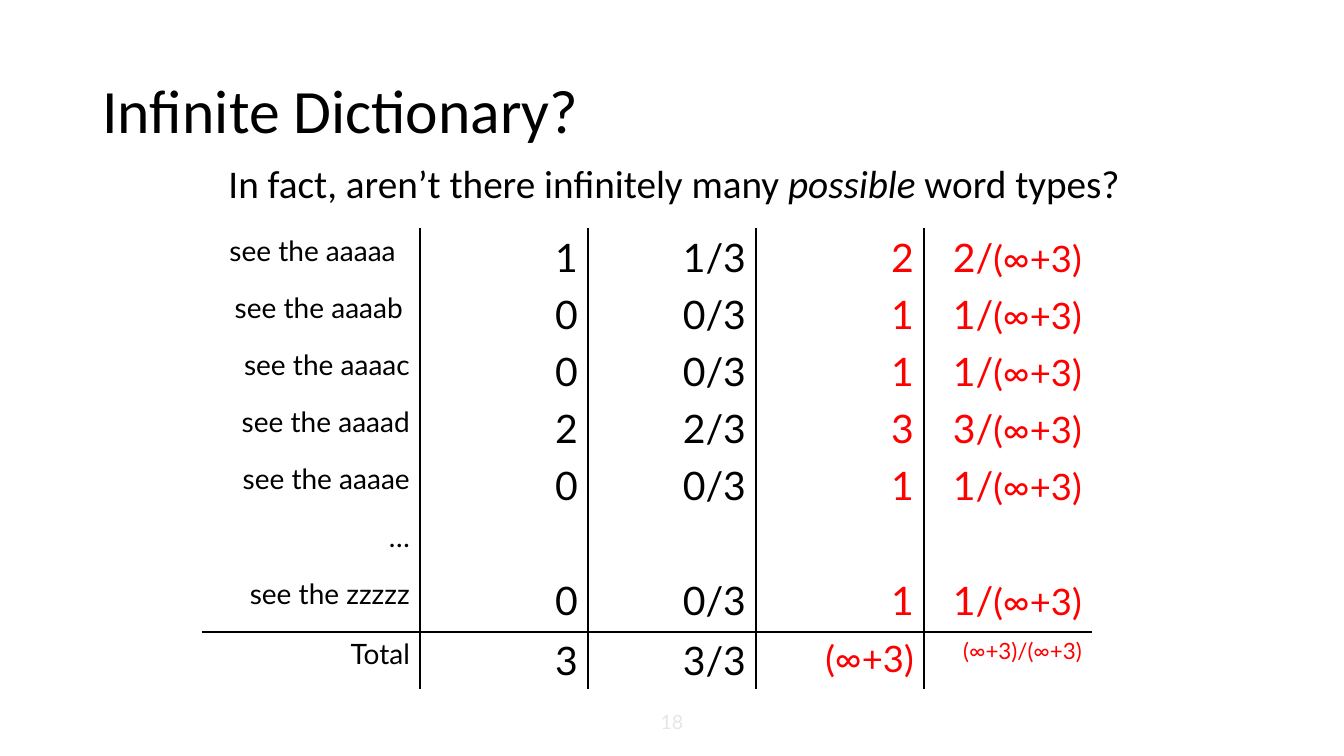
from lxml import etree
from pptx import Presentation
from pptx import util as u
from pptx.dml.color import RGBColor
from pptx.enum import text
from pptx.oxml import ns

BLACK, RED, PALE = "000000", "FF0000", "E6E6E6"
RIGHT = text.PP_ALIGN.RIGHT


def colour(value):
    return RGBColor.from_string(value)


def assign(target, values):
    for name, value in values.items():
        setattr(target, name, value)


def add_xml(parent, tag, **attributes):
    return etree.SubElement(parent, ns.qn(tag), attributes)


class SlideBuilder:
    """Places elements on a grid of 80 columns by 45 rows."""

    def __init__(self, presentation):
        self.column = u.Inches(13.33) / 80
        self.row = u.Inches(7.5) / 45
        self.slide = presentation.slides.add_slide(presentation.slide_layouts[1])

    def box(self, left, top, width, height):
        return [int(left * self.column), int(top * self.row),
                int(width * self.column), int(height * self.row)]

    def add_runs(self, paragraph, runs, font, **formats):
        """Each run is (text, size, colour) with an optional italic flag."""
        assign(paragraph, formats)
        for words, size, shade, *italic in runs:
            run = paragraph.add_run()
            run.text = words
            assign(run.font, {"name": font, "size": u.Pt(size),
                              "bold": False, "italic": bool(italic)})
            run.font.color.rgb = colour(shade)

    def placeholder(self, index, place, runs, anchor, **formats):
        shape = self.slide.placeholders[index]
        assign(shape, dict(zip(("left", "top", "width", "height"), self.box(*place))))
        assign(shape.text_frame, {"vertical_anchor": anchor, "word_wrap": True,
                                  "auto_size": text.MSO_AUTO_SIZE.NONE})
        paragraph = shape.text_frame.paragraphs[0]
        self.add_runs(paragraph, runs, "Calibri", line_spacing=0.9,
                      alignment=text.PP_ALIGN.LEFT, **formats)
        return paragraph

    def label(self, place, runs):
        frame = self.slide.shapes.add_textbox(*self.box(*place)).text_frame
        assign(frame, {"word_wrap": True, "vertical_anchor": text.MSO_ANCHOR.MIDDLE})
        self.add_runs(frame.paragraphs[0], runs, "Lato", alignment=text.PP_ALIGN.CENTER)

    def table(self, left, top, widths, heights, rows):
        place = self.box(left, top, sum(widths), sum(heights))
        table = self.slide.shapes.add_table(len(rows), len(widths), *place).table
        assign(table, {"first_row": False, "horz_banding": False})
        for column, width in zip(table.columns, widths):
            column.width = int(width * self.column)
        for row, height in zip(table.rows, heights):
            row.height = int(height * self.row)
        last_row, last_column = len(rows) - 1, len(widths) - 1
        for r, cells in enumerate(rows):
            for c, runs in enumerate(cells):
                cell = table.cell(r, c)
                # Inner column rules, and one rule above the total
                self.borders(cell, {"L": c > 0, "R": c < last_column,
                                    "T": r == last_row, "B": r == last_row - 1})
                cell.fill.background()
                if runs:
                    paragraph = cell.text_frame.paragraphs[0]
                    self.add_runs(paragraph, runs, "Lato", alignment=RIGHT)
                    before = add_xml(paragraph._p.get_or_add_pPr(), "a:spcBef")
                    add_xml(before, "a:spcPct", val="20000")
        return table

    def borders(self, cell, sides):
        properties = cell._tc.get_or_add_tcPr()
        for side, visible in sides.items():
            line = add_xml(properties, f"a:ln{side}", w=str(u.Pt(1)))
            if visible:
                fill = add_xml(line, "a:solidFill")
                add_xml(fill, "a:srgbClr", val=BLACK)
            else:
                add_xml(line, "a:noFill")


def count_row(ending, count):
    smoothed = str(count + 1)
    return [[(f"see the {ending}", 20, BLACK)], [(str(count), 28, BLACK)],
            [(f"{count}/3", 28, BLACK)], [(smoothed, 28, RED)],
            [(f"{smoothed}/", 28, RED), ("(∞+3)", 26, RED)]]


def main():
    presentation = Presentation()
    assign(presentation, {"slide_width": u.Inches(13.33), "slide_height": u.Inches(7.5)})
    builder = SlideBuilder(presentation)

    # Title and question
    builder.placeholder(0, (5.5, 2.4, 69, 8.7), [("Infinite Dictionary?", 44, BLACK)],
                        text.MSO_ANCHOR.MIDDLE)
    question = builder.placeholder(
        1, (13, 9.5, 56, 30.5),
        [("In fact, aren’t there infinitely many ", 28, BLACK),
         ("possible", 28, BLACK, True), (" word types?", 28, BLACK)],
        text.MSO_ANCHOR.TOP, space_before=u.Pt(10))
    properties = question._p.get_or_add_pPr()
    for name, value in {"marL": 0.25, "indent": -0.25}.items():
        properties.set(name, str(u.Inches(value)))
    add_xml(properties, "a:buNone")

    # Add-one counts over an endless list of words
    counts = {"aaaaa": 1, "aaaab": 0, "aaaac": 0, "aaaad": 2, "aaaae": 0}
    rows = [count_row(ending, count) for ending, count in counts.items()]
    rows.append([[("…", 20, BLACK)]] + [None] * 4)
    rows.append(count_row("zzzzz", 0))
    rows.append([[("Total", 20, BLACK)], [("3", 28, BLACK)], [("3/3", 28, BLACK)],
                 [("(∞+3)", 26, RED)], [("(∞+3)/(∞+3)", 16, RED)]])
    table = builder.table(12, 13.6, [13] + [10] * 4, [3.4] * 6 + [3.6, 3.4], rows)
    for r, margin in enumerate((0.24, 0.17)):
        table.cell(r, 0).margin_right = u.Inches(margin)

    # Slide number
    builder.label((30, 41.75, 20, 2.4), [("18", 14, PALE)])

    presentation.save("out.pptx")


if __name__ == "__main__":
    main()
